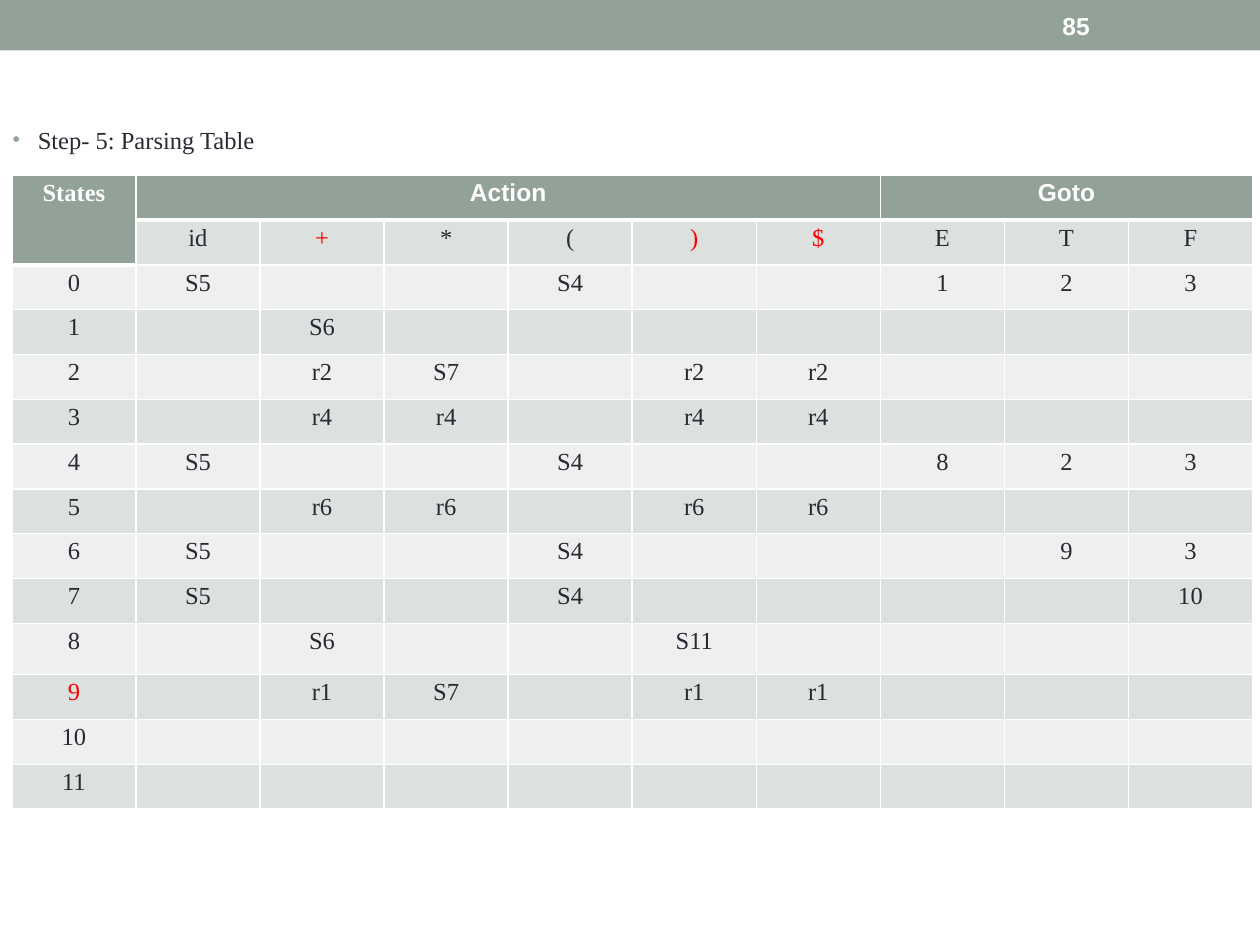
from dataclasses import dataclass

from lxml.etree import SubElement
from pptx import Presentation
from pptx.dml.color import RGBColor as RGB
from pptx.enum.shapes import MSO_SHAPE as SHAPE
from pptx.enum.text import MSO_ANCHOR as ANCHOR, MSO_AUTO_SIZE as AUTO, PP_ALIGN as ALIGN
from pptx.oxml import parse_xml
from pptx.oxml.ns import nsdecls, qn
from pptx.util import Pt

STEP = "Step- 5: Parsing Table"
PAGE = "85"
GROUPS = [("States", 0, 0, 1, 0), ("Action", 0, 1, 0, 6), ("Goto", 0, 7, 0, 9)]
SYMBOLS = ["id", "+", "*", "(", ")", "$", "E", "T", "F"]
STATES = [
    {"id": "S5", "(": "S4", "E": "1", "T": "2", "F": "3"},
    {"+": "S6"},
    {"+": "r2", "*": "S7", ")": "r2", "$": "r2"},
    {"+": "r4", "*": "r4", ")": "r4", "$": "r4"},
    {"id": "S5", "(": "S4", "E": "8", "T": "2", "F": "3"},
    {"+": "r6", "*": "r6", ")": "r6", "$": "r6"},
    {"id": "S5", "(": "S4", "T": "9", "F": "3"},
    {"id": "S5", "(": "S4", "F": "10"},
    {"+": "S6", ")": "S11"},
    {"+": "r1", "*": "S7", ")": "r1", "$": "r1"},
    {},
    {},
]
RED_CELLS = {(1, 2), (1, 5), (1, 6), (11, 0)}
TALL_ROW = 10


@dataclass(frozen=True)
class Theme:
    accent: str = "93A299"
    dark_band: str = "DCE0DE"
    light_band: str = "EEF0EF"
    white: str = "FFFFFF"
    ink: str = "292934"
    red: str = "FF0000"
    serif: str = "Times New Roman"
    sans: str = "Arial"
    size: float = 14


T = Theme()


def style(p, font, color, bold=False):
    for r in p.runs:
        f = r.font
        f.name, f.size, f.bold = font, Pt(T.size), bold
        f.color.rgb = RGB.from_string(color)


def add_borders(cell, top, bottom):
    tcPr = cell._tc.get_or_add_tcPr()
    for i, (side, width) in enumerate([("L", 1), ("R", 1), ("T", top), ("B", bottom)]):
        tcPr.insert(i, parse_xml(
            f'<a:ln{side} {nsdecls("a")} w="{Pt(width)}"><a:solidFill>'
            f'<a:srgbClr val="{T.white}"/></a:solidFill></a:ln{side}>'))


def fill_cell(cell, text, fill, font, color, bold):
    cell.fill.solid()
    cell.fill.fore_color.rgb = RGB.from_string(fill)
    cell.margin_left = cell.margin_right = Pt(5)
    cell.margin_top = cell.margin_bottom = Pt(2.5)
    p = cell.text_frame.paragraphs[0]
    p.alignment = ALIGN.CENTER
    if text:
        p.text = text
        style(p, font, color, bold)
    else:
        # Empty cells keep the table's type size so that rows do not grow.
        SubElement(p._p, qn("a:endParaRPr"), sz=str(T.size * 100))


def add_banner(slide, width):
    s = slide.shapes.add_shape(SHAPE.RECTANGLE, 0, 0, width, Pt(28.8))
    s.shadow.inherit = False
    s.fill.solid()
    s.fill.fore_color.rgb = RGB.from_string(T.accent)
    s.line.fill.background()
    tf = slide.shapes.add_textbox(Pt(600), Pt(1.5), Pt(84), Pt(26)).text_frame
    tf.word_wrap = True
    tf.vertical_anchor = ANCHOR.MIDDLE
    tf.text = PAGE
    style(tf.paragraphs[0], T.sans, T.white, bold=True)


def add_step(slide):
    slide.shapes.title._element.getparent().remove(slide.shapes.title._element)
    sp = slide.placeholders[1]
    sp.left, sp.top, sp.width, sp.height = Pt(0), Pt(67.7), Pt(160), Pt(30)
    tf = sp.text_frame
    tf.text = STEP
    tf.auto_size = AUTO.NONE
    p = tf.paragraphs[0]
    p.space_before = Pt(0)
    pPr = p._p.get_or_add_pPr()
    pPr.set("marL", str(Pt(14.4)))
    pPr.set("indent", str(Pt(-14.4)))
    SubElement(SubElement(pPr, qn("a:buClr")), qn("a:srgbClr"), val=T.accent)
    SubElement(pPr, qn("a:buSzPct"), val="85000")
    SubElement(pPr, qn("a:buFont"), typeface=T.sans)
    SubElement(pPr, qn("a:buChar"), char="•")
    style(p, T.serif, T.ink)


def add_parsing_table(slide):
    rows = [[""] * 10, [""] + SYMBOLS]
    rows += [[str(n)] + [state.get(s, "") for s in SYMBOLS] for n, state in enumerate(STATES)]
    for text, top, left, _, _ in GROUPS:
        rows[top][left] = text
    heights = [29.4 if i == TALL_ROW else 25.6 for i in range(len(rows))]
    width = 70.9
    table = slide.shapes.add_table(len(rows), 10, Pt(6.8), Pt(100.2),
                                   Pt(10 * width), Pt(sum(heights))).table
    for column in table.columns:
        column.width = Pt(width)
    for i, texts in enumerate(rows):
        table.rows[i].height = Pt(heights[i])
        for j, text in enumerate(texts):
            cell = table.cell(i, j)
            header = i == 0 or (i, j) == (1, 0)
            if header:
                fill, color = T.accent, T.white
            else:
                fill = T.dark_band if i % 2 else T.light_band
                color = T.red if (i, j) in RED_CELLS else T.ink
            font = T.sans if header and j else T.serif
            fill_cell(cell, text, fill, font, color, header)
            below_header = (i, j) == (2, 0) or (i == 1 and j > 0)
            add_borders(cell, 3 if below_header else 1, 3 if header else 1)
    for _, top, left, bottom, right in GROUPS:
        table.cell(top, left).merge(table.cell(bottom, right))


def main():
    prs = Presentation()
    prs.slide_width, prs.slide_height = Pt(720), Pt(540)
    slide = prs.slides.add_slide(prs.slide_layouts[1])
    add_banner(slide, prs.slide_width)
    add_step(slide)
    add_parsing_table(slide)
    prs.save("out.pptx")


if __name__ == "__main__":
    main()
